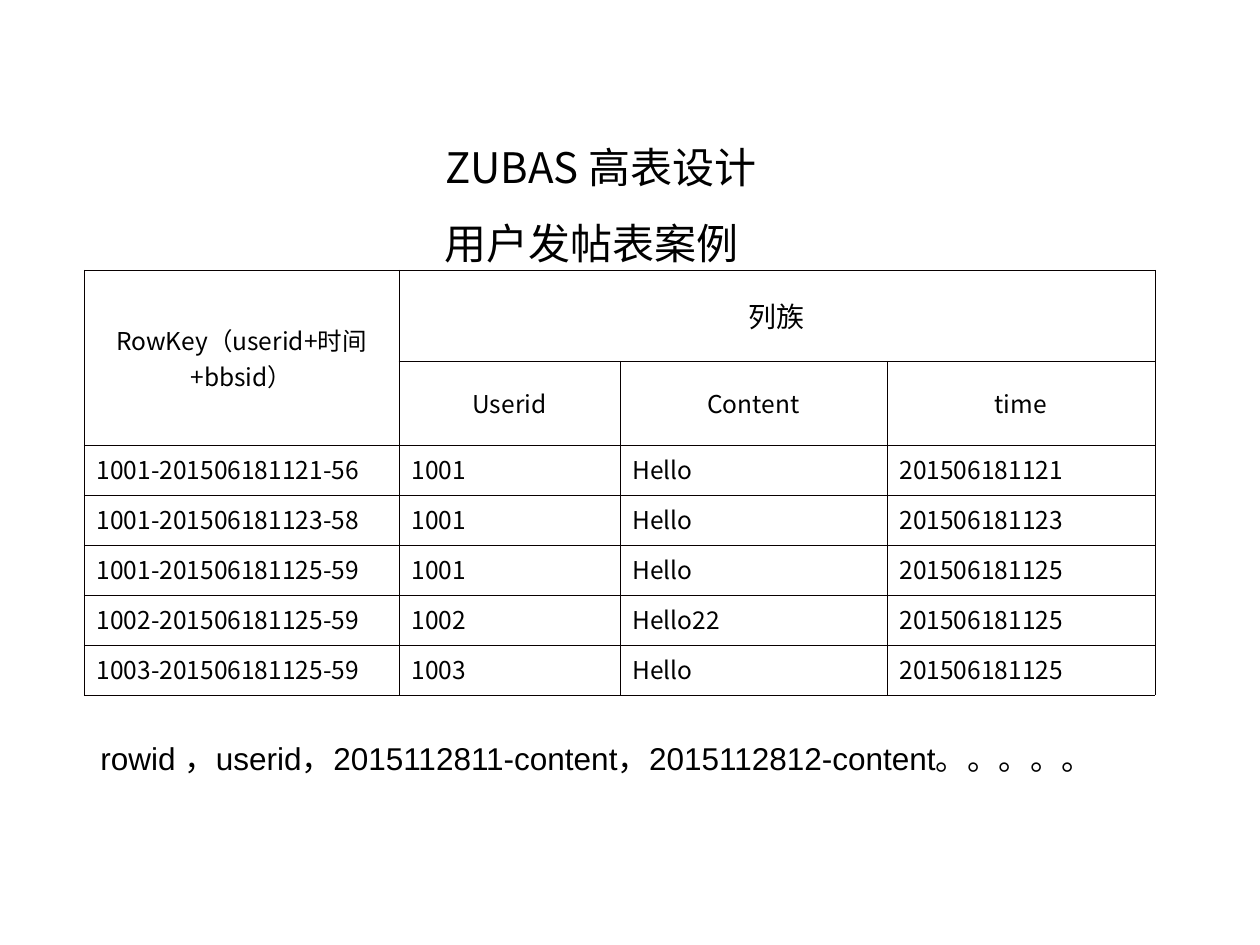
import dataclasses
import typing

import pptx
import pptx.dml.color
import pptx.enum.text
import pptx.oxml
import pptx.oxml.ns
import pptx.util

PIXEL = 914400 // 126
COLORS = {"text": "000000", "border": "080000"}
CJK_FONT = "Noto Sans CJK SC"
CENTER = pptx.enum.text.PP_ALIGN.CENTER
LEFT = pptx.enum.text.PP_ALIGN.LEFT
MIDDLE = pptx.enum.text.MSO_ANCHOR.MIDDLE
TOP = pptx.enum.text.MSO_ANCHOR.TOP


@dataclasses.dataclass(frozen=True)
class Box:
    left: int
    top: int
    width: int
    height: int

    def emu(self) -> list[int]:
        return [length * PIXEL for length in dataclasses.astuple(self)]


@dataclasses.dataclass(frozen=True)
class Header:
    row: int
    column: int
    text: str
    size: int = 14
    space_before: float = 3.5
    row_span: int = 1
    column_span: int = 1


@dataclasses.dataclass(frozen=True)
class Post:
    userid: str
    content: str
    time: str
    bbsid: str
    space_before: float = 3.5

    def values(self) -> list[str]:
        rowkey = f"{self.userid}-{self.time}-{self.bbsid}"
        return [rowkey, self.userid, self.content, self.time]


TITLE_BOX = Box(72, 135, 1058, 59)
TABLE_BOX = Box(84, 270, 1071, 425)
NOTE_BOX = Box(88, 733, 1018, 88)
TITLES = ["ZUBAS 高表设计", "用户发帖表案例  "]
NOTE = "rowid ，userid，2015112811-content，2015112812-content。。。。。"
COLUMN_WIDTHS = [315, 221, 267, 268]
HEADER_HEIGHTS = [91, 84]
POST_HEIGHT = 50
HEADERS = [
    Header(0, 0, "RowKey（userid+时间+bbsid）", row_span=2),
    Header(0, 1, "列族", size=16, space_before=4, column_span=3),
    Header(1, 1, "Userid"),
    Header(1, 2, "Content"),
    Header(1, 3, "time"),
]
POSTS = [
    Post("1001", "Hello", "201506181121", "56"),
    Post("1001", "Hello", "201506181123", "58"),
    Post("1001", "Hello", "201506181125", "59"),
    Post("1002", "Hello22", "201506181125", "59", space_before=0),
    Post("1003", "Hello", "201506181125", "59", space_before=0),
]


def write_text(
    text_frame: typing.Any,
    lines: list[str],
    *,
    size: int,
    font: str = CJK_FONT,
    align: typing.Any = LEFT,
    space_before: float = 0,
) -> None:
    text_frame.word_wrap = True
    for index, line in enumerate(lines):
        paragraph = text_frame.add_paragraph() if index else text_frame.paragraphs[0]
        paragraph.alignment = align
        paragraph.space_before = pptx.util.Pt(space_before)
        run = paragraph.add_run()
        run.text = line
        run.font.size = pptx.util.Pt(size)
        run.font.name = font
        run.font.color.rgb = pptx.dml.color.RGBColor.from_string(COLORS["text"])
        east_asian = pptx.oxml.parse_xml(
            f'<a:ea {pptx.oxml.ns.nsdecls("a")} typeface="{CJK_FONT}"/>'
        )
        run.font._element.find(pptx.oxml.ns.qn("a:latin")).addnext(east_asian)


def style_cell(cell: typing.Any) -> None:
    cell.fill.background()
    properties = cell._tc.get_or_add_tcPr()
    for index, side in enumerate(("lnL", "lnR", "lnT", "lnB")):
        border = pptx.oxml.parse_xml(
            f'<a:{side} {pptx.oxml.ns.nsdecls("a")} w="{pptx.util.Pt(0.23)}">'
            f'<a:solidFill><a:srgbClr val="{COLORS["border"]}"/></a:solidFill></a:{side}>'
        )
        properties.insert(index, border)


def add_posts_table(slide: typing.Any) -> None:
    heights = HEADER_HEIGHTS + [POST_HEIGHT] * len(POSTS)
    table = slide.shapes.add_table(
        len(heights), len(COLUMN_WIDTHS), *TABLE_BOX.emu()
    ).table
    table.first_row = False
    table.horz_banding = False
    for column, width in zip(table.columns, COLUMN_WIDTHS):
        column.width = width * PIXEL
    for row, height in zip(table.rows, heights):
        row.height = height * PIXEL
    for cell in table.iter_cells():
        style_cell(cell)
    for header in HEADERS:
        cell = table.cell(header.row, header.column)
        if header.row_span > 1 or header.column_span > 1:
            last_row = header.row + header.row_span - 1
            last_column = header.column + header.column_span - 1
            cell.merge(table.cell(last_row, last_column))
        cell.vertical_anchor = MIDDLE
        write_text(cell.text_frame, [header.text], size=header.size,
                   align=CENTER, space_before=header.space_before)
    for row_index, post in enumerate(POSTS, len(HEADER_HEIGHTS)):
        for column_index, value in enumerate(post.values()):
            cell = table.cell(row_index, column_index)
            cell.vertical_anchor = TOP
            write_text(cell.text_frame, [value], size=14,
                       space_before=post.space_before)


def main() -> None:
    presentation = pptx.Presentation()
    presentation.slide_width = pptx.util.Inches(10)
    presentation.slide_height = pptx.util.Inches(7.5)
    slide = presentation.slides.add_slide(presentation.slide_layouts[6])
    title = slide.shapes.add_textbox(*TITLE_BOX.emu())
    write_text(title.text_frame, TITLES, size=24, align=CENTER, space_before=15)
    add_posts_table(slide)
    note = slide.shapes.add_textbox(*NOTE_BOX.emu())
    write_text(note.text_frame, [NOTE], size=18, font="Arial")
    note.text_frame.auto_size = pptx.enum.text.MSO_AUTO_SIZE.SHAPE_TO_FIT_TEXT
    presentation.save("out.pptx")


if __name__ == "__main__":
    main()
